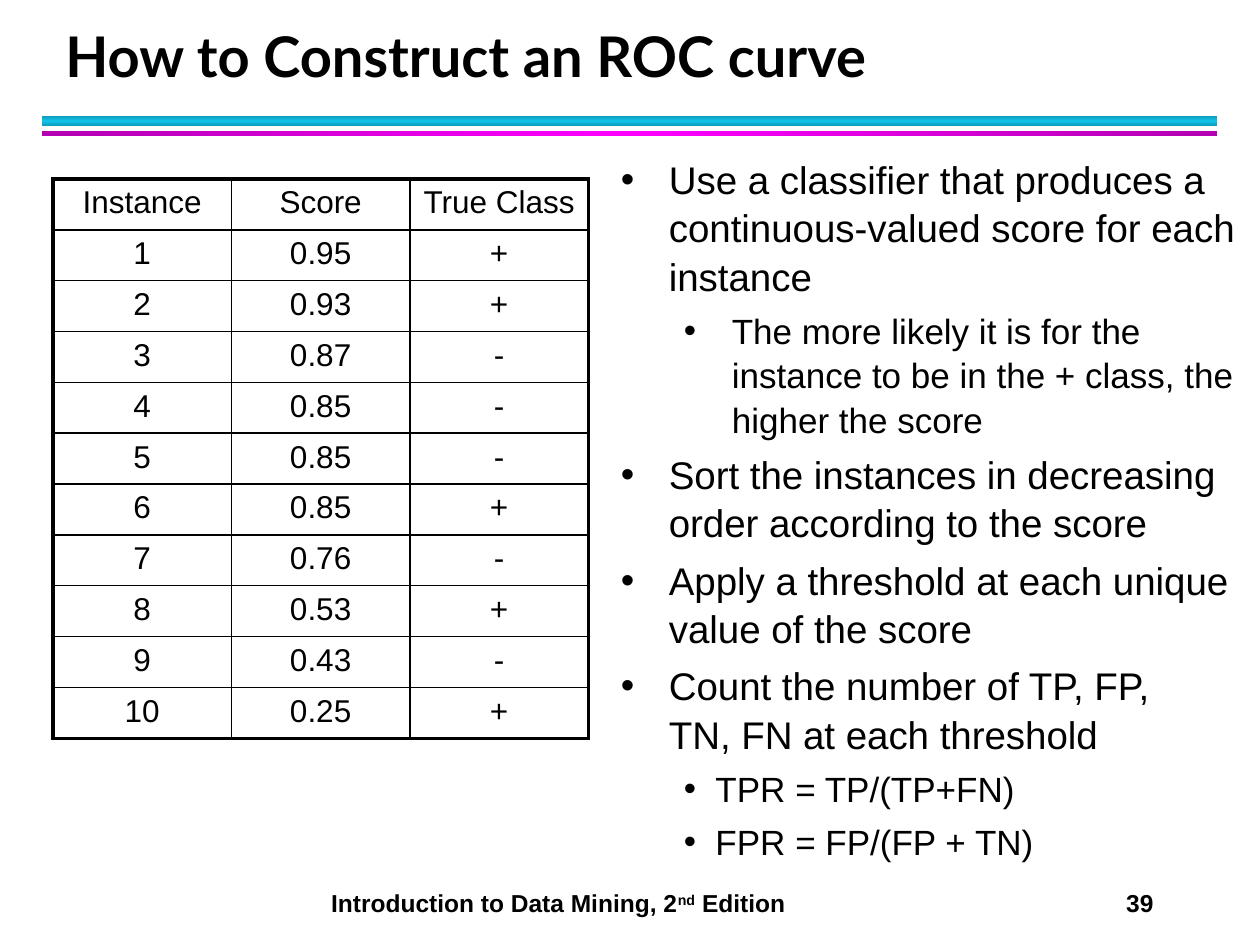
"""Build a slide on constructing an ROC curve, with a score table and steps."""
from lxml.etree import SubElement as Sub
from pptx import Presentation
from pptx.dml.color import RGBColor as RGB
from pptx.enum.shapes import MSO_SHAPE as Geom
from pptx.enum.text import MSO_ANCHOR as Anchor, PP_ALIGN as Align
from pptx.oxml.ns import qn
from pptx.util import Inches as In, Pt

HUE = dict(ink="000000", sea="0E9BBA", sky="12C2E9", plum="B200B2", pink="FF00FF")

deck = Presentation()
deck.slide_width, deck.slide_height = In(10), In(7.5)
slide = deck.slides.add_slide(deck.slide_layouts[6])


def write(para, text, size=18, font="Arial", bold=False, lift=0):
    run = para.add_run()
    run.text = text
    face = run.font
    face.size, face.name, face.bold = Pt(size), font, bold
    face.color.rgb = RGB.from_string(HUE["ink"])
    if lift:
        run._r.get_or_add_rPr().set("baseline", str(lift * 1000))


def frame(left, top, wide, high):
    box = slide.shapes.add_textbox(In(left), In(top), In(wide), In(high))
    box.text_frame.word_wrap = True
    return box.text_frame


for top, high, edge, core, turn in [(0.92, 0.08, "sea", "sky", 90),
                                    (1.04, 0.04, "plum", "pink", 0)]:
    bar = slide.shapes.add_shape(Geom.RECTANGLE, In(0.33), In(top), In(9.33), In(high))
    bar.shadow.inherit = False
    bar.line.fill.background()
    bar.fill.gradient()
    bar.fill.gradient_angle = turn
    stops = bar.fill._fill._gradFill.find(qn("a:gsLst"))
    for old in list(stops):
        stops.remove(old)
    for spot, name in enumerate([edge, core, edge]):
        stop = Sub(stops, qn("a:gs"), pos=str(spot * 50000))
        Sub(stop, qn("a:srgbClr"), val=HUE[name])

foot = frame(0.5, 7, 9.33, 0.34).paragraphs[0]
tabs = Sub(foot._p.get_or_add_pPr(), qn("a:tabLst"))
for spot in (2.03, 8.34):
    Sub(tabs, qn("a:tab"), pos=str(In(spot)), algn="l")
for text, lift in [("\tIntroduction to Data Mining, 2", 0), ("nd", 30), (" Edition\t39", 0)]:
    write(foot, text, size=14, bold=True, lift=lift)

title = frame(0.42, 0.17, 9.06, 0.58)
title.vertical_anchor = Anchor.BOTTOM
title.paragraphs[0].line_spacing = Pt(36)
write(title.paragraphs[0], "How to Construct an ROC curve", size=32, font="Lato", bold=True)

scores = "0.95 0.93 0.87 0.85 0.85 0.85 0.76 0.53 0.43 0.25".split()
rows = [("Instance", "Score", "True Class")]
rows += [(str(n), s, c) for n, (s, c) in enumerate(zip(scores, "++---+-+-+"), 1)]
tall, wide = len(rows), len(rows[0])
grid = slide.shapes.add_table(tall, wide, In(0.42), In(1.42), In(4.25), In(4.44)).table
grid.first_row = grid.horz_banding = False
for r, row in enumerate(rows):
    grid.rows[r].height = In(4.44 / tall)
    for c, text in enumerate(row):
        cell = grid.cell(r, c)
        para = cell.text_frame.paragraphs[0]
        para.alignment = Align.CENTER
        write(para, text)
        prop = cell._tc.get_or_add_tcPr()
        rims = dict(L=c == 0, R=c == wide - 1, T=r == 0, B=r == tall - 1)
        for side, rim in rims.items():
            line = Sub(prop, qn("a:ln" + side), w=str(Pt(2.25 if rim else 1)))
            Sub(Sub(line, qn("a:solidFill")), qn("a:srgbClr"), val=HUE["ink"])
        cell.fill.background()

steps = [
    ("Use a classifier that produces a continuous-valued score for each instance", 22, 0.38, 0.38),
    ("The more likely it is for the instance to be in the + class, the higher the score",
     20, 0.88, 0.38),
    ("Sort the instances in decreasing order according to the score", 22, 0.38, 0.38),
    ("Apply a threshold at each unique value of the score", 22, 0.38, 0.38),
    ("Count the number of TP, FP,\vTN, FN at each threshold", 22, 0.38, 0.38),
    ("TPR = TP/(TP+FN)", 20, 0.75, 0.25),
    ("FPR = FP/(FP + TN)", 20, 0.75, 0.25),
]
body = frame(4.83, 1.17, 5.08, 5.54)
for n, (text, size, left, hang) in enumerate(steps):
    para = body.add_paragraph() if n else body.paragraphs[0]
    para.level = int(size == 20)
    prop = para._p.get_or_add_pPr()
    prop.set("marL", str(In(left)))
    prop.set("indent", str(-In(hang)))
    Sub(prop, qn("a:buFont"), typeface="Arial")
    Sub(prop, qn("a:buChar"), char="•")
    para.line_spacing = 1.05
    if n:
        para.space_before = Pt(5)
    for k, part in enumerate(text.split("\v")):
        if k:
            para.add_line_break()
        write(para, part, size=size)

deck.save("out.pptx")
